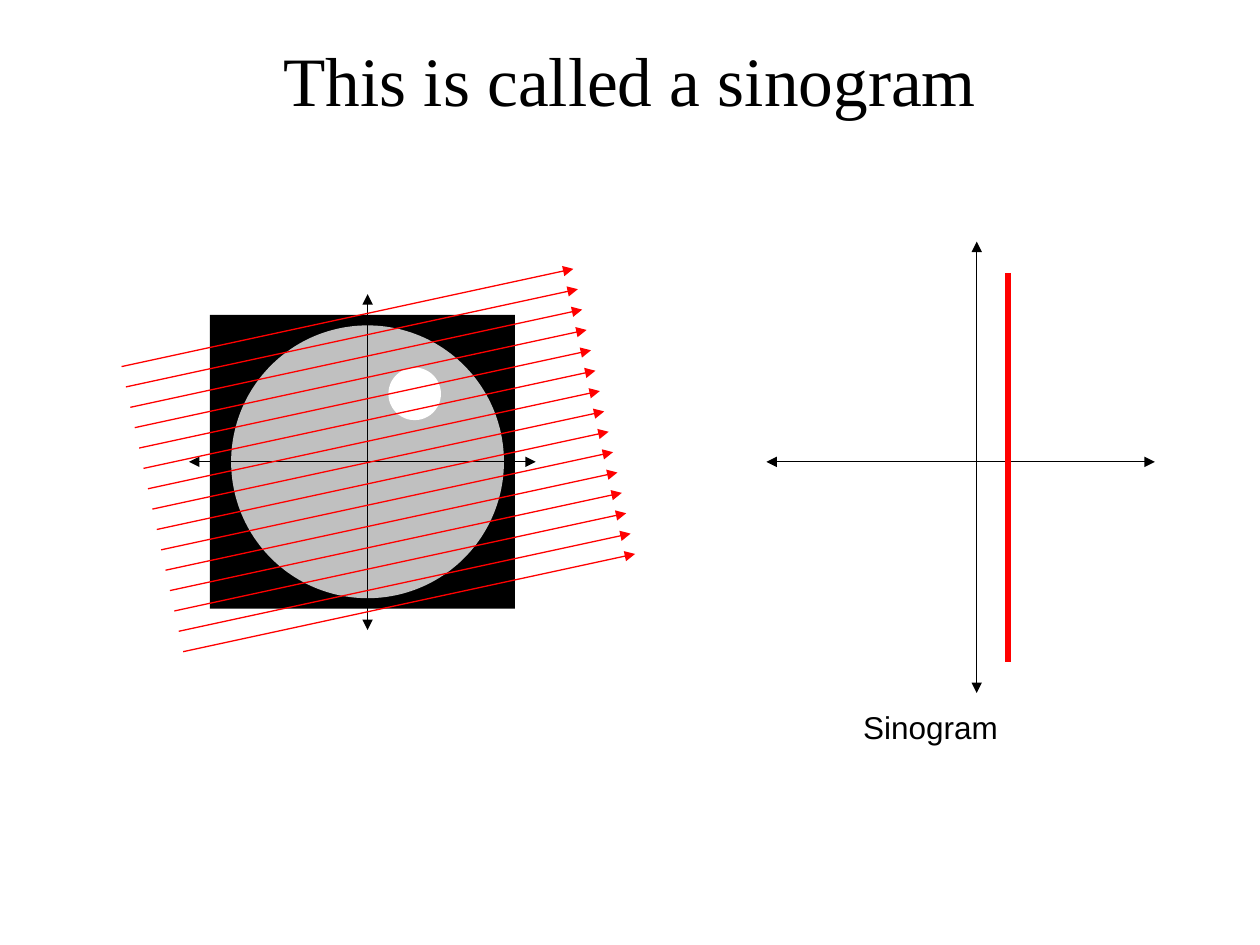
from math import cos, radians, sin

from lxml.etree import SubElement
from pptx import Presentation
from pptx.dml.color import RGBColor
from pptx.enum.shapes import MSO_CONNECTOR, MSO_SHAPE
from pptx.enum.text import MSO_ANCHOR, PP_ALIGN
from pptx.oxml.ns import qn
from pptx.util import Cm, Pt

BLACK, RED = "000000", "FF0000"
TITLE = "This is called a sinogram"
LABEL = "Sinogram"

BODY = [
    (MSO_SHAPE.RECTANGLE, (4.23, 6.35, 6.15, 5.92), BLACK),
    (MSO_SHAPE.OVAL, (4.66, 6.56, 5.5, 5.5), "C0C0C0"),
    (MSO_SHAPE.OVAL, (7.83, 7.41, 1.06, 1.06), "FFFFFF"),
]
SCAN_AXES = [(7.41, 5.93, 7.41, 12.7), (3.81, 9.31, 10.8, 9.31)]
PLOT_AXES = [(15.45, 9.31, 23.28, 9.31), (19.69, 4.87, 19.69, 13.97)]
TRACE = (20.32, 5.5, 20.32, 13.34)
RAYS = {"count": 15, "start": (2.45, 7.39), "long": 9.32, "gap": 0.42, "tilt": 12.2}


def paint(color, value):
    color.rgb = RGBColor.from_string(value)


def add_form(shapes, kind, box, fill):
    form = shapes.add_shape(kind, *map(Cm, box))
    form.shadow.inherit = False
    form.fill.solid()
    paint(form.fill.fore_color, fill)
    form.line.fill.background()


def add_line(shapes, ends, color=BLACK, width=0.75, tips=()):
    line = shapes.add_connector(MSO_CONNECTOR.STRAIGHT, *map(Cm, ends))
    line.line.width = Pt(width)
    paint(line.line.color, color)
    props = line._element.spPr
    for tip in tips:
        SubElement(props.find(qn("a:ln")), qn(f"a:{tip}End"), type="triangle")
    SubElement(props, qn("a:effectLst"))


def add_text(shapes, text, box, font, size, align=PP_ALIGN.LEFT, top=0.13):
    frame = shapes.add_textbox(*map(Cm, box)).text_frame
    frame.word_wrap = True
    frame.vertical_anchor = MSO_ANCHOR.TOP
    frame.margin_top = Cm(top)
    para = frame.paragraphs[0]
    para.text = text
    para.alignment = align
    para.font.name = font
    para.font.size = Pt(size)
    paint(para.font.color, BLACK)


def add_axes(shapes, axes):
    for ends in axes:
        add_line(shapes, ends, tips=("head", "tail"))


def add_rays(shapes, count, start, long, gap, tilt):
    turn = radians(tilt)
    for i in range(count):
        x = start[0] + i * gap * sin(turn)
        y = start[1] + i * gap * cos(turn)
        ends = (x, y, x + long * cos(turn), y - long * sin(turn))
        add_line(shapes, ends, RED, tips=("tail",))


def main():
    deck = Presentation()
    deck.slide_width, deck.slide_height = Cm(25.4), Cm(19.05)
    shapes = deck.slides.add_slide(deck.slide_layouts[6]).shapes

    body = shapes.add_group_shape().shapes
    for kind, box, fill in BODY:
        add_form(body, kind, box, fill)
    add_axes(shapes.add_group_shape().shapes, SCAN_AXES)
    add_rays(shapes.add_group_shape().shapes, **RAYS)

    add_text(shapes, LABEL, (17.15, 14.15, 9.12 - 0.9, 1.27), "Arial", 18)
    add_axes(shapes, PLOT_AXES)
    add_line(shapes, TRACE, RED, 3)
    add_text(shapes, TITLE, (1.27, 0.76, 22.86, 3.18), "Times New Roman", 39.6,
             align=PP_ALIGN.CENTER, top=0)
    deck.save("out.pptx")


if __name__ == "__main__":
    main()
